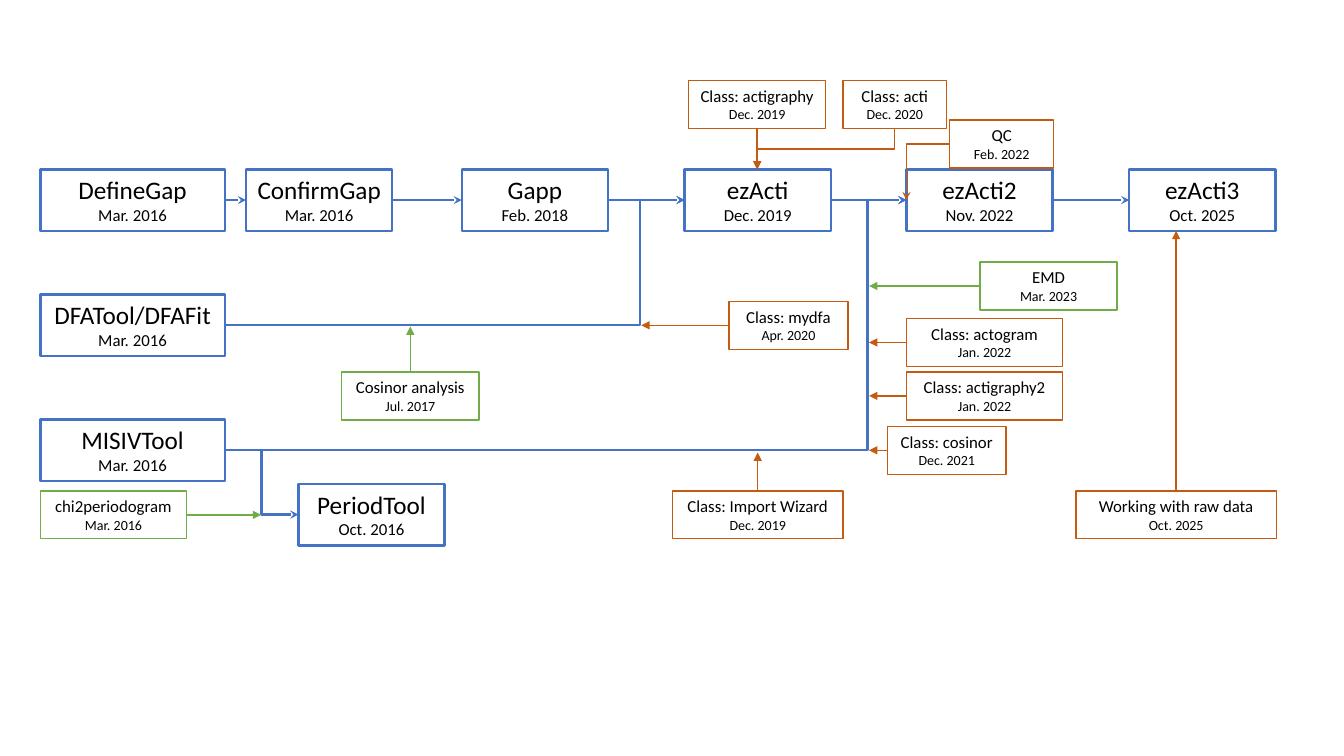
from dataclasses import dataclass

from lxml.etree import SubElement
from pptx import Presentation
from pptx.dml.color import RGBColor
from pptx.enum.shapes import MSO_CONNECTOR
from pptx.enum.text import MSO_AUTO_SIZE, PP_ALIGN
from pptx.oxml.ns import qn
from pptx.util import Inches, Pt


@dataclass(frozen=True)
class Level:
    height: float
    name_size: int
    date_size: int
    line_width: float


@dataclass(frozen=True)
class Theme:
    font: str = "Calibri"
    text: str = "000000"
    blue: str = "4472C4"
    orange: str = "C55A11"
    green: str = "70AD47"
    tool: Level = Level(0.61, 18, 12, 1.75)
    feature: Level = Level(0.475, 12, 10, 1)


@dataclass(frozen=True)
class Frame:
    left: float
    top: float

    def x(self, offset):
        return Inches(self.left + offset)

    def y(self, offset):
        return Inches(self.top + offset)


THEME = Theme()
TOP, LEFT, BOTTOM, RIGHT = range(4)
TOOL_WIDTH = 1.45
WIDE_TOOL = 1.83
MAIN_ROW, DFA_ROW, MISIV_ROW = (0.88 + 1.24 * row for row in range(3))
PERIOD_LEFT, PERIOD_ROW = 2.56, 4.0
FEATURE_ROW = 4.07
SPINE = 8.22

RELEASES = [
    (0, WIDE_TOOL, "DefineGap", "Mar. 2016"),
    (2.04, TOOL_WIDTH, "ConfirmGap", "Mar. 2016"),
    (4.18, TOOL_WIDTH, "Gapp", "Feb. 2018"),
    (6.39, TOOL_WIDTH, "ezActi", "Dec. 2019"),
    (8.59, TOOL_WIDTH, "ezActi2", "Nov. 2022"),
    (10.8, TOOL_WIDTH, "ezActi3", "Oct. 2025"),
]

FEATURES = [
    (6.43, 0, 1.36, "Class: actigraphy", "Dec. 2019", THEME.orange, BOTTOM, MAIN_ROW),
    (6.83, 2.19, 1.18, "Class: mydfa", "Apr. 2020", THEME.orange, LEFT, 5.96),
    (8.59, 2.36, 1.55, "Class: actogram", "Jan. 2022", THEME.orange, LEFT, SPINE),
    (8.59, 2.89, 1.55, "Class: actigraphy2", "Jan. 2022", THEME.orange, LEFT, SPINE),
    (8.4, 3.43, 1.18, "Class: cosinor", "Dec. 2021", THEME.orange, LEFT, SPINE),
    (6.27, FEATURE_ROW, 1.69, "Class: Import Wizard", "Dec. 2019", THEME.orange, TOP, 3.69),
    (10.27, FEATURE_ROW, 1.99, "Working with raw data", "Oct. 2025", THEME.orange, TOP, 1.49),
    (0, FEATURE_ROW, 1.45, "chi2periodogram", "Mar. 2016", THEME.green, RIGHT, 2.19),
    (2.99, 2.89, 1.36, "Cosinor analysis", "Jul. 2017", THEME.green, TOP, 2.44),
    (9.32, 1.8, 1.36, "EMD", "Mar. 2023", THEME.green, LEFT, SPINE),
]


def middle(row):
    return row + THEME.tool.height / 2


def add_box(slide, frame, left, top, width, name, date, color, level):
    box = slide.shapes.add_textbox(
        frame.x(left), frame.y(top), Inches(width), Inches(level.height))
    box.line.color.rgb = RGBColor.from_string(color)
    box.line.width = Pt(level.line_width)
    text = box.text_frame
    text.word_wrap = True
    text.auto_size = MSO_AUTO_SIZE.SHAPE_TO_FIT_TEXT
    text.text = f"{name}\n{date}"
    for paragraph, size in zip(text.paragraphs, (level.name_size, level.date_size)):
        paragraph.alignment = PP_ALIGN.CENTER
        paragraph.font.name = THEME.font
        paragraph.font.size = Pt(size)
        paragraph.font.color.rgb = RGBColor.from_string(THEME.text)
    return box


def add_arrow(slide, kind, start, end, color, level, head):
    arrow = slide.shapes.add_connector(kind, *start, *end)
    arrow.line.color.rgb = RGBColor.from_string(color)
    arrow.line.width = Pt(level.line_width)
    properties = arrow._element.spPr
    SubElement(properties.find(qn("a:ln")), qn("a:tailEnd"), type=head)
    SubElement(properties, qn("a:effectLst"))
    return arrow


def add_elbow(slide, frame, start, end, color, level, bend=0.5, downward=False):
    (x1, y1), (x2, y2) = start, end
    if downward:
        center_x, center_y = (x1 + x2) / 2, (y1 + y2) / 2
        half_width, half_height = abs(y2 - y1) / 2, abs(x2 - x1) / 2
        x1, x2 = center_x - half_width, center_x + half_width
        y1, y2 = center_y - half_height, center_y + half_height
    elbow = add_arrow(slide, MSO_CONNECTOR.ELBOW, (frame.x(x1), frame.y(y1)),
                      (frame.x(x2), frame.y(y2)), color, level, "stealth")
    properties = elbow._element.spPr
    if downward:
        properties.find(qn("a:xfrm")).set("rot", "5400000")
    adjustments = properties.find(qn("a:prstGeom")).find(qn("a:avLst"))
    SubElement(adjustments, qn("a:gd"), name="adj1", fmla=f"val {round(bend * 100000)}")


def add_releases(slide, frame):
    previous = None
    for left, width, name, date in RELEASES:
        release = add_box(slide, frame, left, MAIN_ROW, width, name, date,
                          THEME.blue, THEME.tool)
        if previous is not None:
            y = frame.y(middle(MAIN_ROW))
            step = add_arrow(slide, MSO_CONNECTOR.STRAIGHT,
                             (previous.left + previous.width, y), (release.left, y),
                             THEME.blue, THEME.tool, "stealth")
            step.begin_connect(previous, RIGHT)
            step.end_connect(release, LEFT)
        previous = release


def add_branches(slide, frame):
    for left, row, width, name, date in [
        (0, DFA_ROW, WIDE_TOOL, "DFATool/DFAFit", "Mar. 2016"),
        (0, MISIV_ROW, WIDE_TOOL, "MISIVTool", "Mar. 2016"),
        (PERIOD_LEFT, PERIOD_ROW, TOOL_WIDTH, "PeriodTool", "Oct. 2016"),
    ]:
        add_box(slide, frame, left, row, width, name, date, THEME.blue, THEME.tool)
    for row, target_left, target_row, bend in [
        (DFA_ROW, 6.39, MAIN_ROW, 0.903),
        (MISIV_ROW, 8.59, MAIN_ROW, 0.943),
        (MISIV_ROW, PERIOD_LEFT, PERIOD_ROW, 0.5),
    ]:
        add_elbow(slide, frame, (WIDE_TOOL, middle(row)),
                  (target_left, middle(target_row)), THEME.blue, THEME.tool, bend)


def add_features(slide, frame):
    level = THEME.feature
    for left, top, width, name, date, color, side, reach in FEATURES:
        feature = add_box(slide, frame, left, top, width, name, date, color, level)
        if side in (LEFT, RIGHT):
            y = feature.top + feature.height // 2
            start = feature.left + (feature.width if side == RIGHT else 0), y
            end = frame.x(reach), y
        else:
            x = feature.left + feature.width // 2
            start = x, feature.top + (feature.height if side == BOTTOM else 0)
            end = x, frame.y(reach)
        arrow = add_arrow(slide, MSO_CONNECTOR.STRAIGHT, start, end, color, level, "triangle")
        arrow.begin_connect(feature, side)

    add_box(slide, frame, 7.96, 0, 1.03, "Class: acti", "Dec. 2020", THEME.orange, level)
    add_elbow(slide, frame, (8.47, level.height), (7.11, MAIN_ROW),
              THEME.orange, level, downward=True)
    add_box(slide, frame, 9.02, 0.39, 1.03, "QC", "Feb. 2022", THEME.orange, level)
    add_elbow(slide, frame, (9.02, 0.63), (8.59, middle(MAIN_ROW)),
              THEME.orange, level, 0.997)


def main():
    presentation = Presentation()
    presentation.slide_width = Inches(13.33)
    presentation.slide_height = Inches(7.5)
    slide = presentation.slides.add_slide(presentation.slide_layouts[6])
    timeline = Frame(0.4, 0.8)
    add_releases(slide, timeline)
    add_branches(slide, timeline)
    add_features(slide, timeline)
    presentation.save("out.pptx")


if __name__ == "__main__":
    main()
